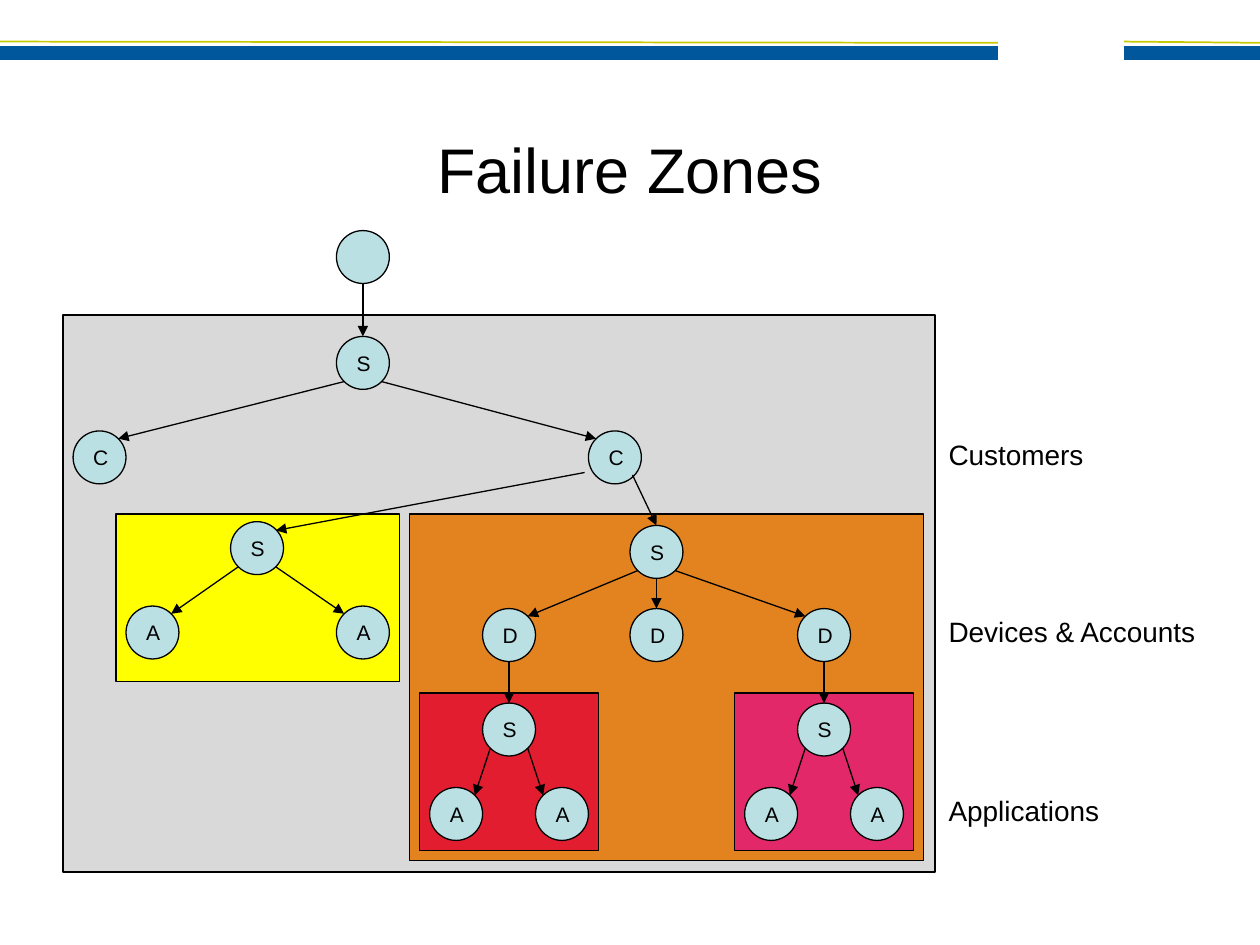
import math

import lxml.etree
import pptx
import pptx.dml.color
import pptx.enum.shapes
import pptx.enum.text
import pptx.oxml.ns
import pptx.util

Inches = pptx.util.Inches
SHAPES = pptx.enum.shapes.MSO_SHAPE
ALIGN = pptx.enum.text.PP_ALIGN
ANCHOR = pptx.enum.text.MSO_ANCHOR

ZONES = [
    (0.5, 2.5, 6.92, 4.42, "D9D9D9"),
    (3.25, 4.08, 4.08, 2.75, "E38320"),
    (5.83, 5.5, 1.42, 1.25, "E3286A"),
    (3.33, 5.5, 1.42, 1.25, "E31D30"),
    (0.92, 4.08, 2.25, 1.33, "FFFF00"),
]
LABELS = [
    ("Customers", 7.43, 3.42, 1.3),
    ("Devices & Accounts", 7.43, 4.83, 2.2),
    ("Applications", 7.43, 6.25, 1.45),
]
NODES = {
    "root": ("", 2.88, 2.04),
    "customer server": ("S", 2.88, 2.88),
    "left customer": ("C", 0.79, 3.63),
    "right customer": ("C", 4.88, 3.63),
    "account server": ("S", 2.04, 4.35),
    "left account": ("A", 1.21, 5.02),
    "right account": ("A", 2.88, 5.02),
    "device server": ("S", 5.21, 4.38),
    "left device": ("D", 4.04, 5.04),
    "middle device": ("D", 5.21, 5.04),
    "right device": ("D", 6.54, 5.04),
}
LINKS = [
    ("root", "customer server"),
    ("customer server", "left customer"),
    ("customer server", "right customer"),
    ("account server", "left account"),
    ("account server", "right account"),
    ("device server", "left device"),
    ("device server", "middle device"),
    ("device server", "right device"),
]
for side in ("left", "right"):
    device, server = f"{side} device", f"{side} server"
    center = NODES[device][1]
    NODES[server] = ("S", center, 5.79)
    LINKS.append((device, server))
    for offset in (-0.42, 0.42):
        application = f"{side} application {offset}"
        NODES[application] = ("A", center + offset, 6.46)
        LINKS.append((server, application))


def color(value):
    return pptx.dml.color.RGBColor.from_string(value)


def write(frame, text, size, align=ALIGN.LEFT, anchor=ANCHOR.TOP, wrap=True):
    frame.word_wrap = wrap
    frame.auto_size = pptx.enum.text.MSO_AUTO_SIZE.NONE
    frame.vertical_anchor = anchor
    para = frame.paragraphs[0]
    para.alignment = align
    span = para.add_run()
    span.text = text
    span.font.name = "Arial"
    span.font.size = pptx.util.Pt(size)
    span.font.color.rgb = color("000000")


class Diagram:
    """Draws the parts of a zone diagram on one slide in a shared style."""

    ink = "000000"
    node_fill = "BBE0E3"
    line_width = 0.75
    radius = 0.21

    def __init__(self, slide):
        self.slide = slide

    def title(self, text, left, top, width, height):
        box = self.slide.shapes.title
        box.left, box.top, box.width, box.height = map(Inches, (left, top, width, height))
        write(box.text_frame, text, 36, align=ALIGN.CENTER, anchor=ANCHOR.MIDDLE)

    def label(self, text, left, top, width):
        box = self.slide.shapes.add_textbox(*map(Inches, (left, top, width, 0.37)))
        write(box.text_frame, text, 16, wrap=False)

    def shape(self, kind, left, top, width, height, fill):
        shape = self.slide.shapes.add_shape(kind, *map(Inches, (left, top, width, height)))
        shape.shadow.inherit = False
        shape.fill.solid()
        shape.fill.fore_color.rgb = color(fill)
        shape.line.color.rgb = color(self.ink)
        shape.line.width = pptx.util.Pt(self.line_width)
        return shape

    def zone(self, left, top, width, height, fill):
        self.shape(SHAPES.RECTANGLE, left, top, width, height, fill)

    def node(self, letter, x, y):
        size = 2 * self.radius
        circle = self.shape(
            SHAPES.OVAL, x - self.radius, y - self.radius, size, size, self.node_fill
        )
        if letter:
            write(circle.text_frame, letter, 12)

    def line(self, start, end, stroke, width):
        line = self.slide.shapes.add_connector(
            pptx.enum.shapes.MSO_CONNECTOR.STRAIGHT, *map(Inches, (*start, *end))
        )
        line.line.color.rgb = color(stroke)
        line.line.width = pptx.util.Pt(width)
        lxml.etree.SubElement(line._element.spPr, pptx.oxml.ns.qn("a:effectLst"))
        return line

    def arrow(self, start, end):
        line = self.line(start, end, self.ink, self.line_width)
        head = lxml.etree.SubElement(line.line._get_or_add_ln(), pptx.oxml.ns.qn("a:tailEnd"))
        head.set("type", "triangle")

    def link(self, parent, child):
        (_, x1, y1), (_, x2, y2) = NODES[parent], NODES[child]
        if x1 == x2:
            self.arrow((x1, y1 + self.radius), (x2, y2 - self.radius))
            return
        reach = self.radius * math.sqrt(0.5)
        shift = math.copysign(reach, x2 - x1)
        self.arrow((x1 + shift, y1 + reach), (x2 - shift, y2 - reach))


def main():
    deck = pptx.Presentation()
    deck.slide_width, deck.slide_height = Inches(10), Inches(7.5)
    diagram = Diagram(deck.slides.add_slide(deck.slide_layouts[5]))
    for left, right in ((0, 7.92), (8.92, 10)):
        diagram.line((left, 0.42), (right, 0.42), "00579C", 7.75)
        diagram.line((left, 0.33), (right, 0.34), "C7CA00", 1)
    diagram.title("Failure Zones", 0.75, 0.75, 8.5, 1.17)
    for zone in ZONES:
        diagram.zone(*zone)
    for label in LABELS:
        diagram.label(*label)
    for node in NODES.values():
        diagram.node(*node)
    for parent, child in LINKS:
        diagram.link(parent, child)
    diagram.arrow((5.02, 3.77), (5.21, 4.17))
    diagram.arrow((4.64, 3.75), (2.19, 4.21))
    deck.save("out.pptx")


if __name__ == "__main__":
    main()
